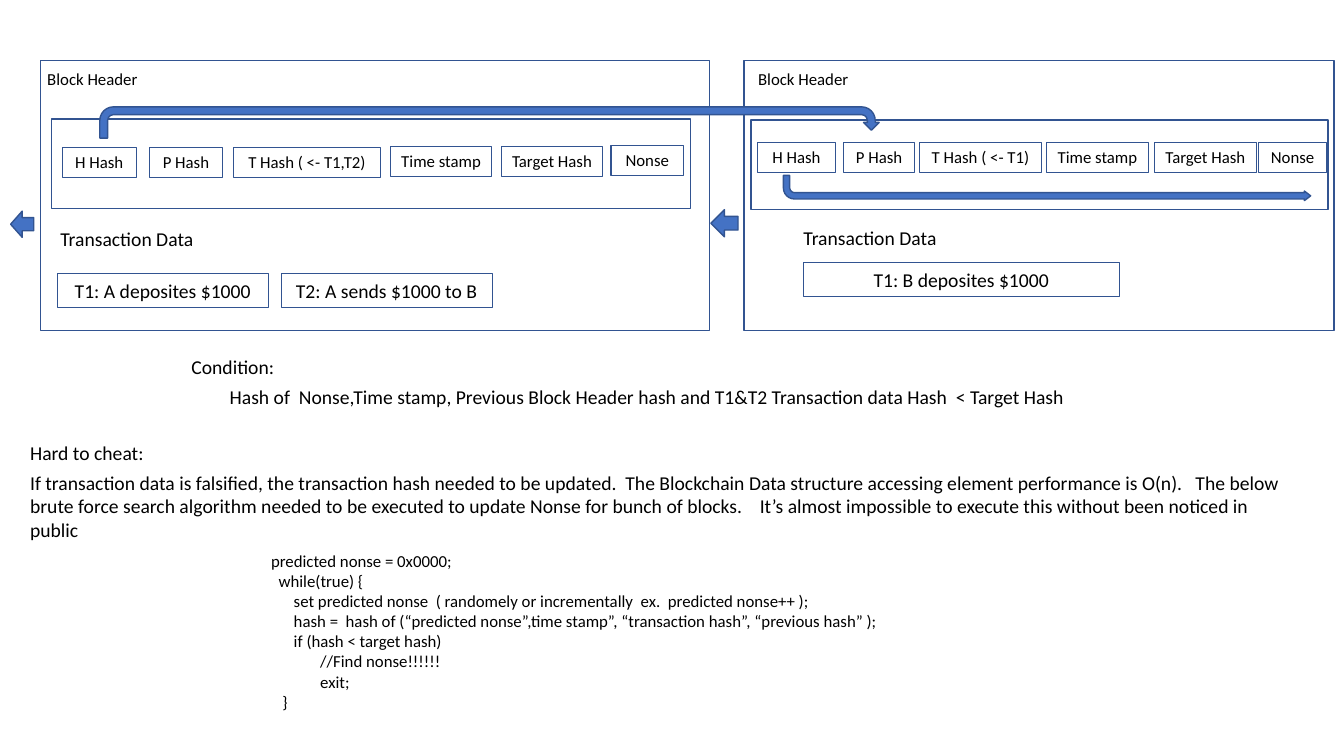
from pptx import Presentation
from pptx.dml.color import RGBColor
from pptx.enum.shapes import MSO_SHAPE as Shape
from pptx.enum.text import MSO_ANCHOR as Anchor, PP_ALIGN as Align
from pptx.util import Inches, Pt

BLACK = RGBColor(0x00, 0x00, 0x00)
WHITE = RGBColor(0xFF, 0xFF, 0xFF)
BLUE = RGBColor(0x44, 0x72, 0xC4)
NAVY = RGBColor(0x32, 0x54, 0x91)
FONT = "Calibri"
FIELD_HEIGHT = 0.3
TRANSACTION_HEIGHT = 0.34

BLOCKS = [
    {
        "frame": (0.4, 0.6, 6.64, 2.68),
        "header": (0.51, 1.18, 6.34, 0.89),
        "header_label": (0.37, 0.63),
        "data_label": (0.5, 2.2),
        "fields": [
            ("H Hash", 0.62, 1.46, 0.73),
            ("P Hash", 1.48, 1.46, 0.73),
            ("T Hash ( <- T1,T2)", 2.32, 1.46, 1.45),
            ("Time stamp", 3.87, 1.45, 1.01),
            ("Target Hash", 4.97, 1.45, 1.01),
            ("Nonse", 6.06, 1.44, 0.72),
        ],
        "transactions": [
            ("T1: A deposites $1000", 0.57, 2.71, 2.09),
            ("T2: A sends $1000 to B", 2.79, 2.71, 2.09),
        ],
    },
    {
        "frame": (7.38, 0.6, 5.85, 2.68),
        "header": (7.45, 1.19, 5.72, 0.89),
        "header_label": (7.42, 0.63),
        "data_label": (7.87, 2.19),
        "fields": [
            ("H Hash", 7.51, 1.41, 0.78),
            ("P Hash", 8.37, 1.41, 0.7),
            ("T Hash ( <- T1)", 9.12, 1.41, 1.21),
            ("Time stamp", 10.38, 1.41, 1.01),
            ("Target Hash", 11.45, 1.41, 1.01),
            ("Nonse", 12.48, 1.41, 0.68),
        ],
        "transactions": [("T1: B deposites $1000", 7.97, 2.6, 3.13)],
    },
]

CONDITION = (
    "Hash of  Nonse,Time stamp, Previous Block Header hash and "
    "T1&T2 Transaction data Hash  < Target Hash"
)
CHEATING = (
    "If transaction data is falsified, the transaction hash needed to be updated.  "
    "The Blockchain Data structure accessing element performance is O(n).   "
    "The below brute force search algorithm needed to be executed to update Nonse "
    "for bunch of blocks.    It’s almost impossible to execute this without been "
    "noticed in public"
)
CODE = [
    "predicted nonse = 0x0000;",
    "  while(true) {",
    "      set predicted nonse  ( randomely or incrementally  ex.  predicted nonse++ );",
    "      hash =  hash of (“predicted nonse”,time stamp”, “transaction hash”, “previous hash” );",
    "      if (hash < target hash)",
    "             //Find nonse!!!!!!",
    "             exit;",
    "   }",
]


def add_span(para, text, size):
    """Add one run of black text to a paragraph."""
    span = para.add_run()
    span.text = text
    span.font.name = FONT
    span.font.size = Pt(size)
    span.font.color.rgb = BLACK


def add_outline(page, kind, place, fill=None, weight=1):
    """Add a preset shape with a navy line and an optional fill."""
    shape = page.shapes.add_shape(kind, *map(Inches, place))
    shape.shadow.inherit = False
    if fill is None:
        shape.fill.background()
    else:
        shape.fill.solid()
        shape.fill.fore_color.rgb = fill
    shape.line.color.rgb = NAVY
    shape.line.width = Pt(weight)
    return shape


def add_label_box(page, text, place, size, fill=None):
    """Add a thin rectangle with one centred line of text."""
    box = add_outline(page, Shape.RECTANGLE, place, fill, 0.75)
    box.text_frame.word_wrap = False
    box.text_frame.vertical_anchor = Anchor.MIDDLE
    para = box.text_frame.paragraphs[0]
    para.alignment = Align.CENTER
    add_span(para, text, size)


def add_text(page, lines, place, size):
    """Add a wrapping text box and return its paragraphs."""
    frame = page.shapes.add_textbox(*map(Inches, place)).text_frame
    frame.word_wrap = True
    for index, line in enumerate(lines):
        para = frame.add_paragraph() if index else frame.paragraphs[0]
        add_span(para, line, size)
    return frame.paragraphs


def add_arrow(page, kind, place, rotation=0, adjustments=()):
    """Add a filled block arrow with its rotation and proportions."""
    arrow = add_outline(page, kind, place, BLUE)
    arrow.rotation = rotation
    for index, value in enumerate(adjustments):
        arrow.adjustments[index] = value
    return arrow


def add_block(page, block):
    """Draw one block with its header fields and transactions."""
    add_outline(page, Shape.RECTANGLE, block["frame"])
    add_outline(page, Shape.RECTANGLE, block["header"])
    add_text(page, ["Block Header"], (*block["header_label"], 1.65, 0.3), 12)
    add_text(page, ["Transaction Data"], (*block["data_label"], 2.09, 0.34), 14)
    for text, left, top, width in block["fields"]:
        add_label_box(page, text, (left, top, width, FIELD_HEIGHT), 12)
    for text, left, top, width in block["transactions"]:
        place = (left, top, width, TRANSACTION_HEIGHT)
        add_label_box(page, text, place, 14, WHITE)


def add_arrows(page):
    """Draw the links between blocks and between hash fields."""
    add_arrow(page, Shape.DOWN_ARROW, (7.05, 2.08, 0.27, 0.27), 90)
    add_arrow(page, Shape.DOWN_ARROW, (0.09, 2.11, 0.26, 0.23), 90)
    add_arrow(page, Shape.U_TURN_ARROW, (0.99, 1.06, 7.73, 0.31))
    hash_link = add_arrow(
        page, Shape.BENT_ARROW, (7.77, 1.74, 5.23, 0.25), 180, (0.25, 0.19, 0.25, 0.44)
    )
    hash_link._element.spPr.xfrm.set("flipH", "1")


def add_explanation(page):
    """Write the condition, the cheating argument and the search code."""
    condition = add_text(
        page, ["Condition:", CONDITION], (1.8, 3.47, 11.4, 0.62), 14
    )[1]
    condition.space_before = Pt(5)
    condition._p.get_or_add_pPr().set("marL", str(Inches(0.38)))
    add_text(page, ["Hard to cheat:"], (0.2, 4.33, 1.8, 0.34), 14)
    add_text(page, [CHEATING], (0.2, 4.62, 12.62, 0.81), 14)
    add_text(page, CODE, (2.59, 5.41, 8.36, 1.72), 12)


def main():
    """Build the blockchain slide and save it."""
    deck = Presentation()
    deck.slide_width = Inches(13.33)
    deck.slide_height = Inches(7.5)
    page = deck.slides.add_slide(deck.slide_layouts[6])
    for block in BLOCKS:
        add_block(page, block)
    add_arrows(page)
    add_explanation(page)
    deck.save("out.pptx")


if __name__ == "__main__":
    main()
